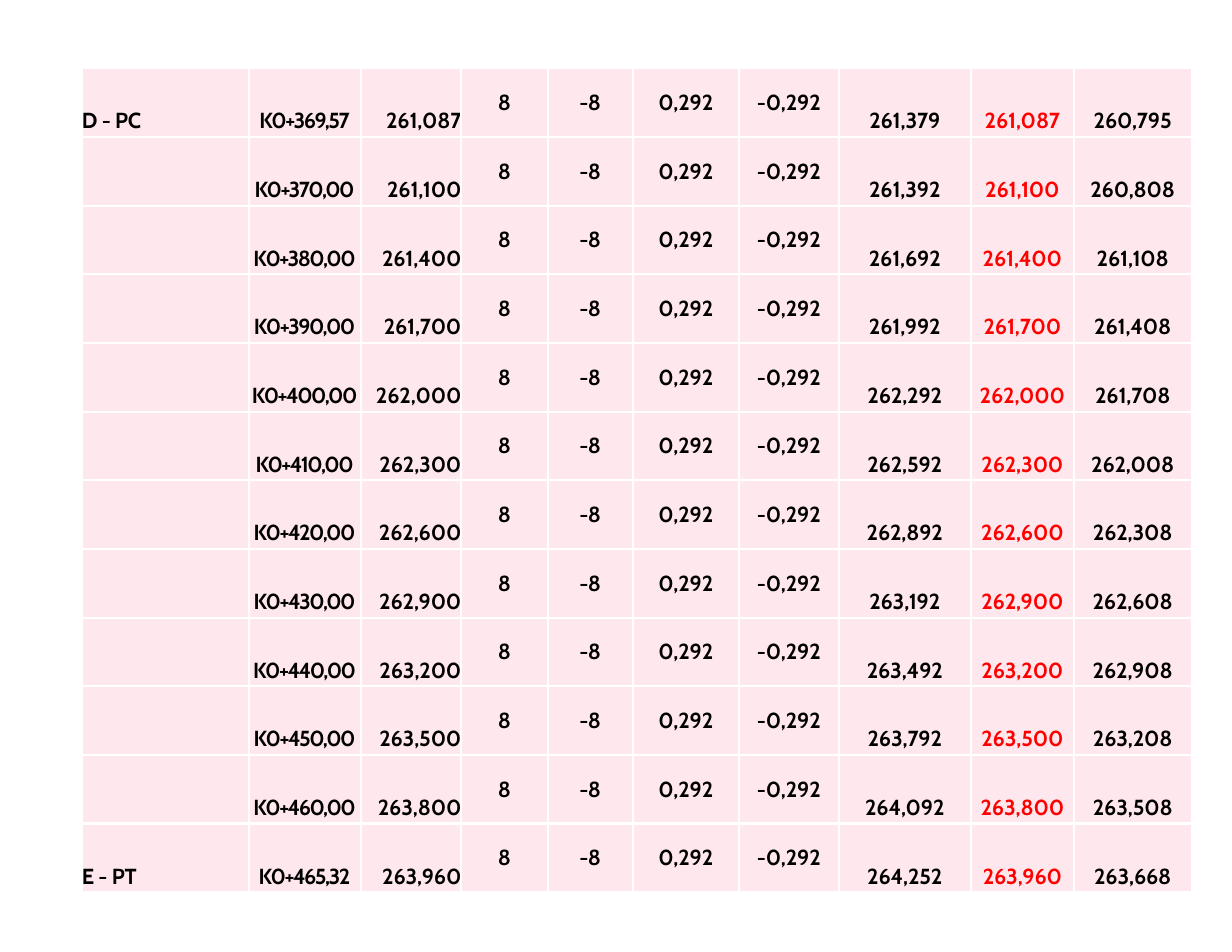
from pptx import Presentation
from pptx.dml.color import RGBColor
from pptx.enum.text import PP_ALIGN
from pptx.oxml.ns import qn
from pptx.util import Inches, Pt
from lxml import etree

LEFT, CENTER, RIGHT = PP_ALIGN.LEFT, PP_ALIGN.CENTER, PP_ALIGN.RIGHT
PINK, WHITE, BLACK, RED = "FFE8ED", "FFFFFF", "000000", "FF0000"

LOW, HIGH = 0.36, 0.19  # top insets, in inches
# width, alignment, top inset, letter spacing in points, text colour
COLUMNS = [
    (1.49, LEFT, LOW, -0.2, BLACK),    # point
    (1.00, CENTER, LOW, -1, BLACK),    # station
    (0.90, RIGHT, LOW, -0.1, BLACK),   # axis elevation
    (0.77, CENTER, HIGH, -0.5, BLACK),  # left superelevation
    (0.76, CENTER, HIGH, -0.3, BLACK),  # right superelevation
    (0.95, CENTER, HIGH, -0.1, BLACK),  # left difference
    (0.89, CENTER, HIGH, -0.1, BLACK),  # right difference
    (1.18, CENTER, LOW, -0.1, BLACK),  # left edge elevation
    (0.92, CENTER, LOW, -0.1, RED),    # axis elevation
    (1.05, CENTER, LOW, -0.1, BLACK),  # right edge elevation
]

SUPERELEVATION = 8
DIFFERENCE = 292  # millimetres
# point, station, axis elevation in millimetres
STATIONS = [
    ("D - PC", "K0+369,57", 261087),
    *[("", f"K0+{370 + 10 * step},00", 261100 + 300 * step) for step in range(10)],
    ("E - PT", "K0+465,32", 263960),
]


def color(hex_value):
    return RGBColor.from_string(hex_value)


def metres(millimetres):
    return f"{millimetres / 1000:.3f}".replace(".", ",")


def station_row(point, station, axis):
    return [
        point, station, metres(axis),
        str(SUPERELEVATION), str(-SUPERELEVATION),
        metres(DIFFERENCE), metres(-DIFFERENCE),
        metres(axis + DIFFERENCE), metres(axis), metres(axis - DIFFERENCE),
    ]


def set_borders(cell, hex_value, width):
    properties = cell._tc.get_or_add_tcPr()
    for side in ("a:lnL", "a:lnR", "a:lnT", "a:lnB"):
        line = etree.SubElement(properties, qn(side), w=str(Pt(width)))
        fill = etree.SubElement(line, qn("a:solidFill"))
        etree.SubElement(fill, qn("a:srgbClr"), val=hex_value)


def fill_cell(cell, text, align, inset, spacing, text_color):
    set_borders(cell, WHITE, 1.5)
    cell.fill.solid()
    cell.fill.fore_color.rgb = color(PINK)
    cell.margin_left = cell.margin_right = cell.margin_bottom = 0
    cell.margin_top = Inches(inset)
    paragraph = cell.text_frame.paragraphs[0]
    paragraph.alignment = align
    paragraph.font.name = "Cabin"
    paragraph.font.size = Pt(14)
    paragraph.font.bold = True
    paragraph.font.color.rgb = color(text_color)
    if inset == LOW:
        paragraph.line_spacing = Pt(16.5)
    if text:
        run = paragraph.add_run()
        run.text = text
        run._r.get_or_add_rPr().set("spc", str(round(spacing * 100)))


def add_elevation_table(slide, left, top, width, height):
    table = slide.shapes.add_table(
        len(STATIONS), len(COLUMNS), left, top, width, height).table
    table.first_row = table.horz_banding = False
    for column, (column_width, *_) in zip(table.columns, COLUMNS):
        column.width = Inches(column_width)
    for row, station in zip(table.rows, STATIONS):
        row.height = height // len(STATIONS)
        for cell, text, (_, *style) in zip(row.cells, station_row(*station), COLUMNS):
            fill_cell(cell, text, *style)


def main():
    presentation = Presentation()
    presentation.slide_width = Inches(11)
    presentation.slide_height = Inches(8.5)
    slide = presentation.slides.add_slide(presentation.slide_layouts[6])
    add_elevation_table(slide, Inches(0.73), Inches(0.61), Inches(9.91), Inches(7.36))
    presentation.save("out.pptx")


if __name__ == "__main__":
    main()
